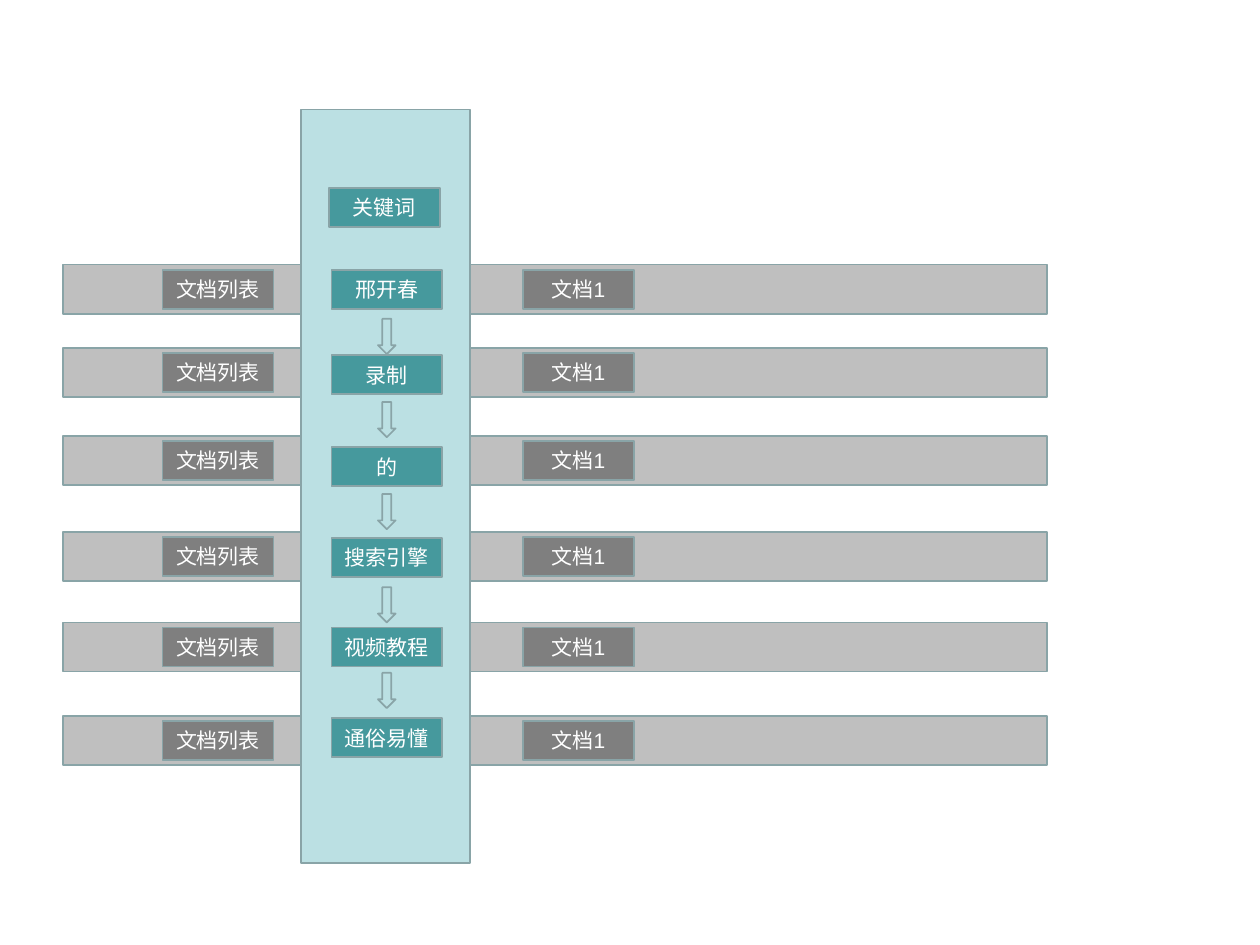
from pptx import Presentation
from pptx import util as u
from pptx.dml.color import RGBColor
from pptx.enum import shapes, text

COLORS = {
    "band": "BFBFBF",
    "column": "BBE0E3",
    "word": "46999D",
    "doc": "7F7F7F",
    "line": "89A4A7",
    "text": "FFFFFF",
}
FONT = {"name": "Arial", "size": u.Pt(12)}
KINDS = shapes.MSO_SHAPE

BOX_W, BOX_H, BAND_H = 0.88, 0.31, 0.39
INSET = (BAND_H - BOX_H) / 2
# Each row: top of its band, top of its keyword, keyword
ROWS = [
    (2.1, 2.14, "邢开春"),
    (2.76, 2.82, "录制"),
    (3.46, 3.55, "的"),
    (4.22, 4.27, "搜索引擎"),
    (4.94, 4.98, "视频教程"),
    (5.68, 5.7, "通俗易懂"),
]
ARROWS = [2.53, 3.19, 3.92, 4.66, 5.34]


def color(key):
    return RGBColor.from_string(COLORS[key])


def add_block(slide, box, fill, kind=KINDS.RECTANGLE):
    """Add a filled, outlined shape; box is left, top, width, height in inches."""
    shape = slide.shapes.add_shape(kind, *map(u.Inches, box))
    shape.shadow.inherit = False
    shape.fill.solid()
    shape.fill.fore_color.rgb = color(fill)
    shape.line.color.rgb = color("line")
    shape.line.width = u.Pt(1)
    return shape


def add_label(slide, left, top, words, fill):
    frame = add_block(slide, (left, top, BOX_W, BOX_H), fill).text_frame
    frame.word_wrap = True
    frame.vertical_anchor = text.MSO_ANCHOR.MIDDLE
    para = frame.paragraphs[0]
    para.alignment = text.PP_ALIGN.CENTER
    run = para.add_run()
    run.text = words
    for name, value in FONT.items():
        setattr(run.font, name, value)
    run.font.color.rgb = color("text")


def main():
    deck = Presentation()
    deck.slide_width, deck.slide_height = u.Inches(10), u.Inches(7.5)
    slide = deck.slides.add_slide(deck.slide_layouts[6])

    for top, _, _ in ROWS:
        add_block(slide, (0.5, top, 7.81, BAND_H), "band")
    add_block(slide, (2.39, 0.87, 1.34, 5.98), "column")

    add_label(slide, 2.61, 1.49, "关键词", "word")
    for top, word_top, word in ROWS:
        add_label(slide, 1.29, top + INSET, "文档列表", "doc")
        add_label(slide, 2.63, word_top, word, "word")
        add_label(slide, 4.15, top + INSET, "文档1", "doc")
    for top in ARROWS:
        add_block(slide, (3, top, 0.14, 0.28), "column", KINDS.DOWN_ARROW)

    deck.save("out.pptx")


if __name__ == "__main__":
    main()
